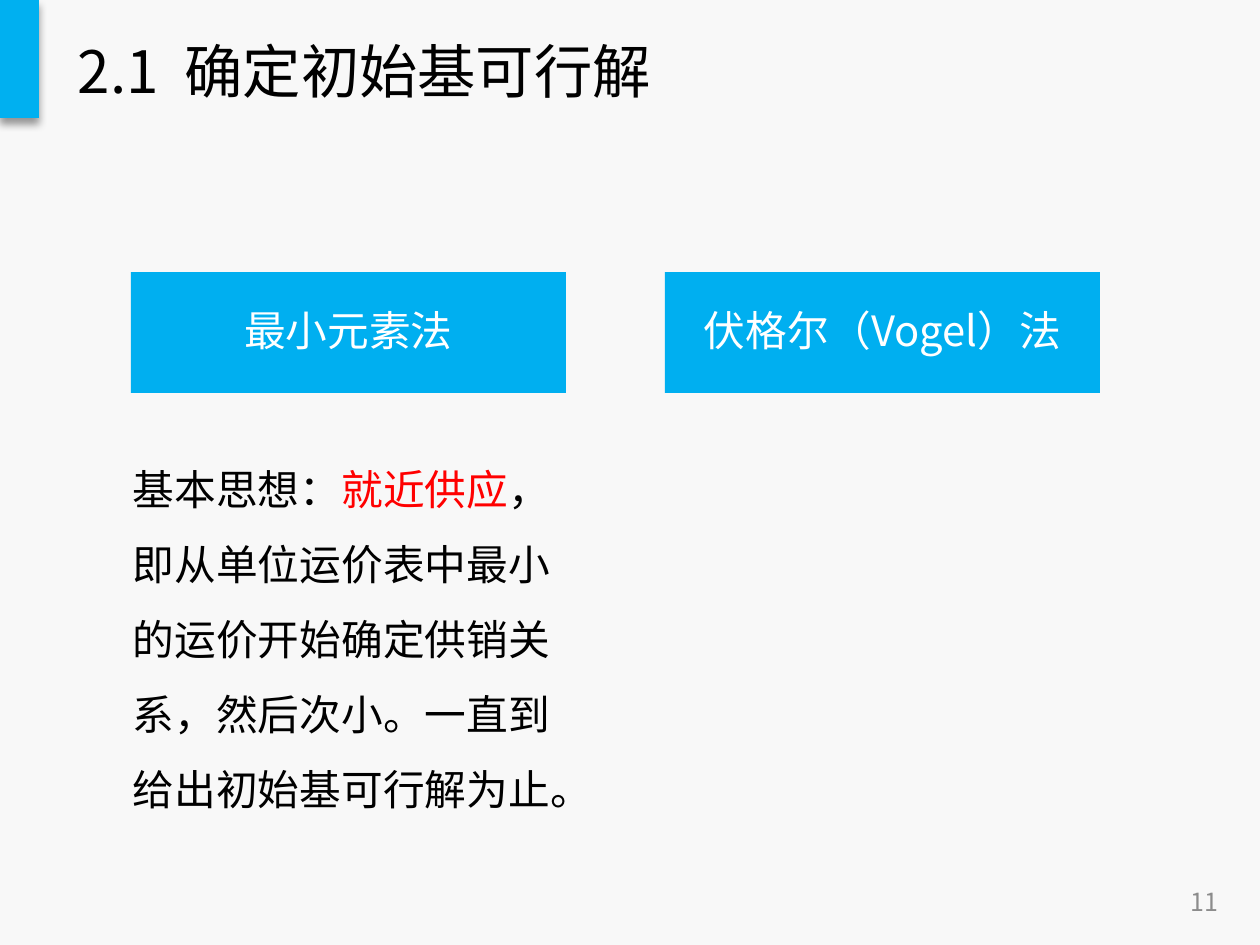
from lxml import etree
from pptx import Presentation
from pptx.dml.color import RGBColor
from pptx.enum.shapes import MSO_SHAPE
from pptx.enum.text import MSO_ANCHOR, PP_ALIGN
from pptx.oxml import parse_xml
from pptx.oxml.ns import nsdecls, qn
from pptx.util import Pt

RECTANGLE = MSO_SHAPE.RECTANGLE
TOP, MIDDLE = MSO_ANCHOR.TOP, MSO_ANCHOR.MIDDLE
LEFT, CENTER, RIGHT = PP_ALIGN.LEFT, PP_ALIGN.CENTER, PP_ALIGN.RIGHT
EMU_PER_PX = 6096


def px(length):
    return length * EMU_PER_PX


def color(hex_string):
    return RGBColor.from_string(hex_string)


class SlideBuilder:
    font = "Noto Sans CJK SC"
    black, white, red, gray = "000000", "FFFFFF", "FF0000", "8C8C8C"
    accent, card_blue, background = "00B0F0", "00AFF0", "F8F8F8"

    def __init__(self, deck):
        self.page = deck.slides.add_slide(deck.slide_layouts[6])
        self.page.background.fill.solid()
        self.page.background.fill.fore_color.rgb = color(self.background)

    def set_text(self, shape, spans, size, align=LEFT, anchor=TOP, spacing=1.0):
        """Fill a shape with one paragraph of (text, colour) spans."""
        frame = shape.text_frame
        frame.word_wrap = True
        frame.vertical_anchor = anchor
        para = frame.paragraphs[0]
        para.alignment = align
        para.line_spacing = spacing
        for text, hex_string in spans:
            span = para.add_run()
            span.text = text
            span.font.size = Pt(size)
            span.font.name = self.font
            span.font.color.rgb = color(hex_string)
            east_asian = etree.SubElement(span.font._element, qn("a:ea"))
            east_asian.set("typeface", self.font)

    def text(self, left, top, width, height, spans, size, **style):
        box = self.page.shapes.add_textbox(*map(px, (left, top, width, height)))
        self.set_text(box, spans, size, **style)

    def rectangle(self, left, top, width, height, fill):
        shape = self.page.shapes.add_shape(
            RECTANGLE, *map(px, (left, top, width, height)))
        shape.shadow.inherit = False
        shape.fill.solid()
        shape.fill.fore_color.rgb = color(fill)
        shape.line.fill.background()
        return shape

    def shadowed_bar(self, left, top, width, height):
        bar = self.rectangle(left, top, width, height, self.accent)
        effects = bar._element.spPr.find(qn("a:effectLst"))
        effects.append(parse_xml(
            f'<a:outerShdw {nsdecls("a")} blurRad="{Pt(4)}" dist="{Pt(3)}" '
            'dir="5400000" algn="t" rotWithShape="0"><a:srgbClr val="000000">'
            '<a:alpha val="40000"/></a:srgbClr></a:outerShdw>'))

    def card(self, left, top, width, height, label):
        card = self.rectangle(left, top, width, height, self.card_blue)
        frame = card.text_frame
        frame.margin_left = frame.margin_right = px(34)
        frame.margin_top = frame.margin_bottom = px(20)
        self.set_text(card, [(label, self.white)], 20,
                      align=CENTER, anchor=MIDDLE, spacing=0.9)


def main():
    deck = Presentation()
    deck.slide_width, deck.slide_height = px(1260), px(945)
    slide = SlideBuilder(deck)

    # Title and accent bar
    slide.shadowed_bar(0, 0, 39, 118)
    slide.text(63, 24, 1134, 92, [("2.1  确定初始基可行解", slide.black)], 28,
               anchor=MIDDLE)

    # Page number
    slide.text(939, 876, 294, 51, [("11", slide.gray)], 12,
               align=RIGHT, anchor=MIDDLE)

    # Method cards
    for column, method in enumerate(("最小元素法", "伏格尔（Vogel）法")):
        slide.card(131 + column * 534, 272, 435, 121, method)

    # Basic idea of the first method
    slide.text(118, 432, 447, 396, [
        ("基本思想：", slide.black),
        ("就近供应", slide.red),
        ("，即从单位运价表中最小的运价开始确定供销关系，然后次小。"
         "一直到给出初始基可行解为止。", slide.black),
    ], 20, spacing=1.5)

    deck.save("out.pptx")


if __name__ == "__main__":
    main()
